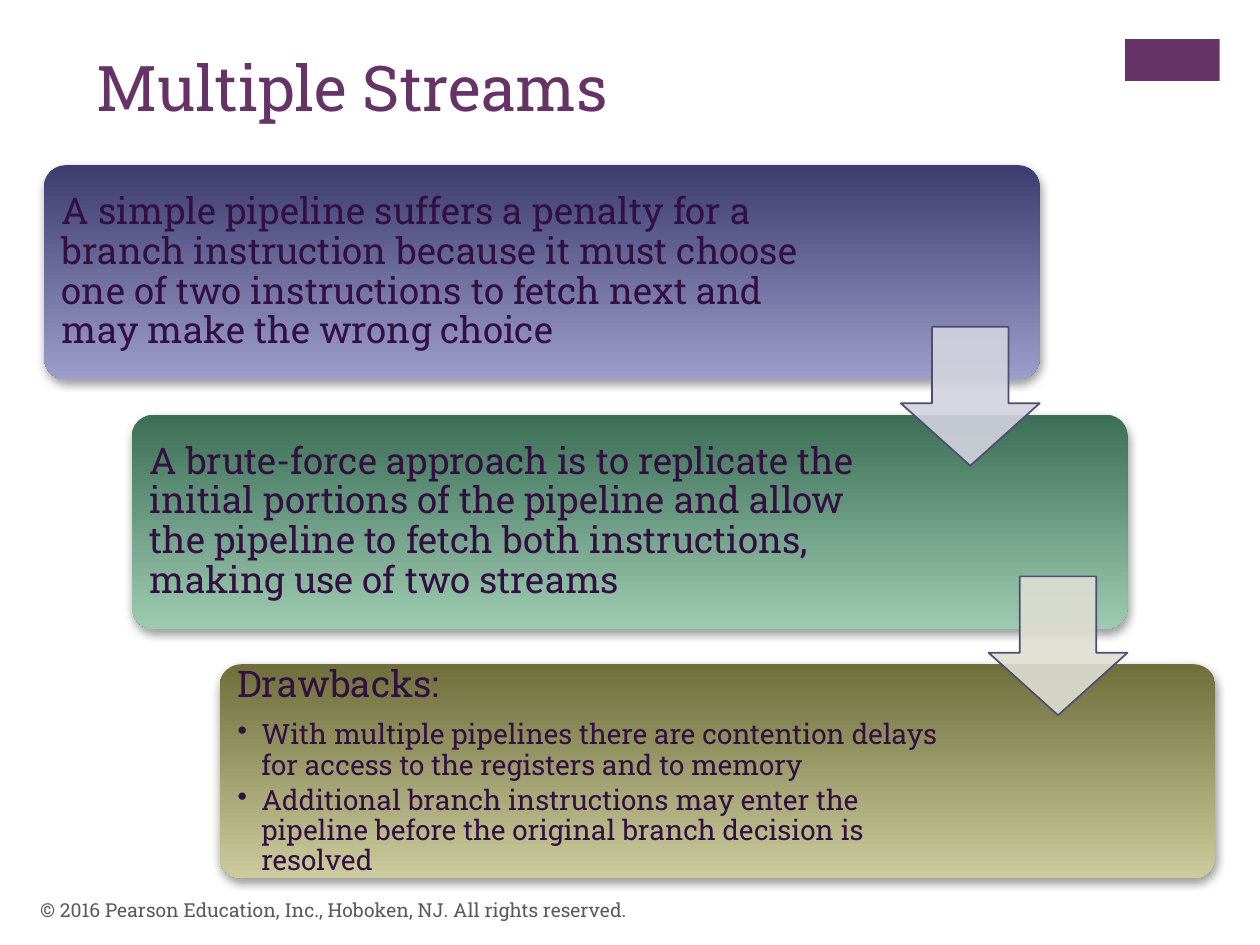
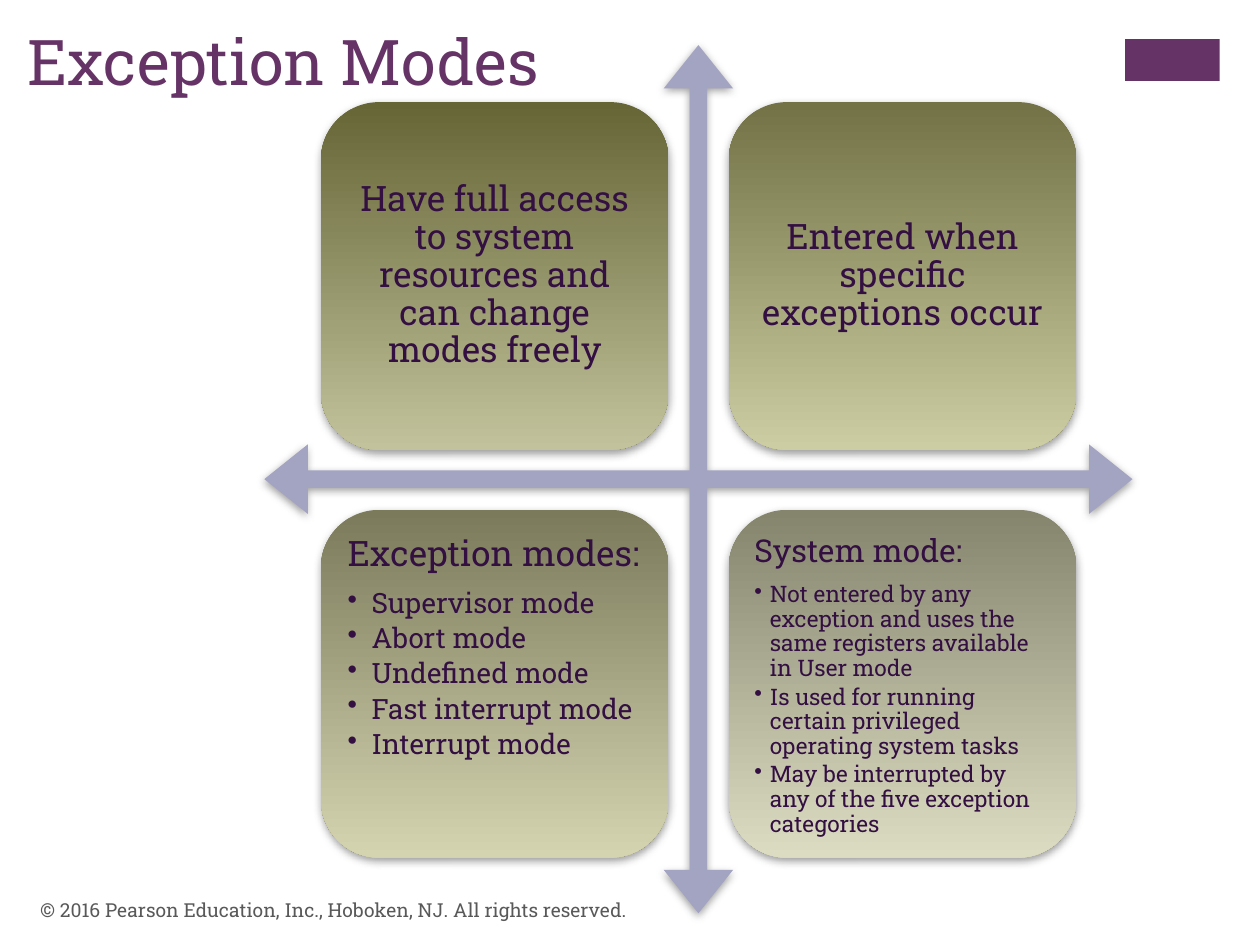
from lxml import etree
from pptx import Presentation
from pptx.dml.color import RGBColor
from pptx.enum.shapes import MSO_SHAPE
from pptx.enum.text import MSO_ANCHOR, MSO_AUTO_SIZE, PP_ALIGN
from pptx.oxml import parse_xml
from pptx.oxml.ns import nsdecls, qn
from pptx.util import Cm, Pt

RECTANGLE = MSO_SHAPE.RECTANGLE
ROUNDED = MSO_SHAPE.ROUNDED_RECTANGLE
DOWN_ARROW = MSO_SHAPE.DOWN_ARROW
QUAD_ARROW = MSO_SHAPE.QUAD_ARROW
TOP, MIDDLE = MSO_ANCHOR.TOP, MSO_ANCHOR.MIDDLE
LEFT, CENTER = PP_ALIGN.LEFT, PP_ALIGN.CENTER
NO_FIT = MSO_AUTO_SIZE.NONE

FONT = "Roboto Slab"
PLUM = RGBColor(0x66, 0x33, 0x66)
INK = RGBColor(0x33, 0x0F, 0x42)
GREY = RGBColor(0x59, 0x59, 0x59)
ARROW_LINE = RGBColor(0x4D, 0x4D, 0x73)
AXIS = RGBColor(0xA3, 0xA3, 0xC2)
NAVY, LAVENDER = RGBColor(0x3C, 0x3C, 0x6F), RGBColor(0x9D, 0x9D, 0xCB)
FOREST, MINT = RGBColor(0x3C, 0x6F, 0x56), RGBColor(0x9D, 0xCB, 0xB2)
OLIVE, SAND = RGBColor(0x6F, 0x6F, 0x3C), RGBColor(0xCB, 0xCB, 0x9D)
PALE_BLUE, PALE_OLIVE = RGBColor(0xD3, 0xD3, 0xDE), RGBColor(0xDE, 0xDE, 0xD3)
MODE_COLORS = [
    (RGBColor(0x65, 0x65, 0x36), RGBColor(0xC2, 0xC2, 0x9C)),
    (RGBColor(0x72, 0x72, 0x46), RGBColor(0xCD, 0xCD, 0xA3)),
    (RGBColor(0x7B, 0x7B, 0x5B), RGBColor(0xD4, 0xD4, 0xB1)),
    (RGBColor(0x85, 0x85, 0x6E), RGBColor(0xDC, 0xDC, 0xC2)),
]

FOOTER = "© 2016 Pearson Education, Inc., Hoboken, NJ. All rights reserved."

STREAM_STEPS = [
    {"head": "A simple pipeline suffers a penalty for a branch instruction because it "
             "must choose one of two instructions to fetch next and may make the wrong choice",
     "colors": (NAVY, LAVENDER), "text_width": 15.42},
    {"head": "A brute-force approach is to replicate the initial portions of the pipeline "
             "and allow the pipeline to fetch both instructions, making use of two streams",
     "colors": (FOREST, MINT), "text_width": 15.24},
    {"head": "Drawbacks:",
     "bullets": [
         "With multiple pipelines there are contention delays for access to the registers "
         "and to memory",
         "Additional branch instructions may enter the pipeline before the original branch "
         "decision is resolved"],
     "colors": (OLIVE, SAND), "text_width": 15.24},
]
STEP_ARROWS = [PALE_BLUE, PALE_OLIVE]

MODES = [
    {"head": "Have full access to system resources and can change modes freely",
     "align": CENTER, "anchor": MIDDLE},
    {"head": "Entered when specific exceptions occur",
     "align": CENTER, "anchor": MIDDLE},
    {"head": "Exception modes:",
     "bullets": ["Supervisor mode", "Abort mode", "Undefined mode",
                 "Fast interrupt mode", "Interrupt mode"]},
    {"head": "System mode:",
     "bullets": [
         "Not entered by any exception and uses the same registers available in User mode",
         "Is used for running certain privileged operating system tasks",
         "May be interrupted by any of the five exception categories"],
     "size": 18, "bullet_size": 13, "indent": 0.31, "margin": 0.18},
]


def write(para, text, size, color=INK, align=LEFT, line=None, after=0, indent=None):
    if indent:
        props = para._p.get_or_add_pPr()
        props.set("marL", str(Cm(indent)))
        props.set("indent", str(-Cm(indent)))
        etree.SubElement(props, qn("a:buChar")).set("char", "•")
        para.level = 1
    para.alignment = align
    para.space_before = Pt(0)
    para.space_after = Pt(round(after * size * 1.2, 1))
    if line:
        para.line_spacing = line
    span = para.add_run()
    span.text = text
    span.font.name = FONT
    span.font.size = Pt(size)
    span.font.color.rgb = color


def prepare_frame(box, anchor, margin_x=0.25, margin_y=0.13):
    frame = box.text_frame
    frame.word_wrap = True
    frame.auto_size = NO_FIT
    frame.vertical_anchor = anchor
    frame.margin_left = frame.margin_right = Cm(margin_x)
    frame.margin_top = frame.margin_bottom = Cm(margin_y)
    return frame


def add_text_box(slide, left, top, width, height, anchor=MIDDLE, **margins):
    box = slide.shapes.add_textbox(Cm(left), Cm(top), Cm(width), Cm(height))
    return prepare_frame(box, anchor, **margins)


def add_card_text(slide, left, top, width, height, head, bullets=(), size=20,
                  bullet_size=16, indent=0.48, margin=0.2, align=LEFT, anchor=TOP):
    frame = add_text_box(slide, left, top, width, height, anchor,
                         margin_x=margin, margin_y=margin)
    write(frame.paragraphs[0], head, size, align=align, line=0.9, after=0.35)
    for bullet in bullets:
        write(frame.add_paragraph(), bullet, bullet_size,
              line=0.9, after=0.15, indent=indent)


def add_figure(slide, kind, left, top, width, height, colors, adjustments=(), soft=False):
    figure = slide.shapes.add_shape(kind, Cm(left), Cm(top), Cm(width), Cm(height))
    figure.shadow.inherit = False
    figure.line.fill.background()
    for index, value in enumerate(adjustments):
        figure.adjustments[index] = value
    if len(colors) == 2:
        figure.fill.gradient()
        figure.fill.gradient_angle = 270
        for stop, color in zip(figure.fill.gradient_stops, colors):
            stop.color.rgb = color
    else:
        figure.fill.solid()
        figure.fill.fore_color.rgb = colors[0]
    if soft:
        effects = figure._element.spPr.find(qn("a:effectLst"))
        effects.append(parse_xml(
            f'<a:outerShdw {nsdecls("a")} blurRad="{Pt(5)}" dist="{Pt(2)}" dir="5400000" '
            'rotWithShape="0"><a:srgbClr val="808080"><a:alpha val="75000"/>'
            '</a:srgbClr></a:outerShdw>'))
    return figure


def add_slide(deck, title, left, top):
    slide = deck.slides.add_slide(deck.slide_layouts[5])
    add_figure(slide, RECTANGLE, 22.68, 0.79, 1.91, 0.84, [PLUM])
    box = slide.shapes.title
    box.left, box.top, box.width, box.height = Cm(left), Cm(top), Cm(20.98), Cm(3.1)
    write(prepare_frame(box, TOP).paragraphs[0], title, 36, color=PLUM)
    footer = add_text_box(slide, 0.56, 17.83, 17.02, 1.02)
    write(footer.paragraphs[0], FOOTER, 11, color=GREY)
    return slide


def build_streams(deck):
    slide = add_slide(deck, "Multiple Streams", 1.7, 0.84)
    left, top, width, height = 0.89, 3.33, 20.07, 4.32
    shift, drop, inset, arrow_size = 1.77, 5.03, 0.13, 2.8
    for index, step in enumerate(STREAM_STEPS):
        card_left, card_top = left + index * shift, top + index * drop
        add_figure(slide, ROUNDED, card_left, card_top, width, height,
                   step["colors"], [0.1], soft=True)
        add_card_text(slide, card_left + inset, card_top + inset, step["text_width"],
                      height - 2 * inset, step["head"], step.get("bullets", ()),
                      size=21, margin=0.23, anchor=MIDDLE)
    for index, color in enumerate(STEP_ARROWS):
        arrow = add_figure(slide, DOWN_ARROW, left + index * shift + width - arrow_size,
                           top + index * drop + 3.26, arrow_size, arrow_size,
                           [color], [0.55, 0.45])
        arrow.line.color.rgb = ARROW_LINE
        arrow.line.width = Pt(1)
        tint = arrow._element.spPr.find(qn("a:solidFill"))[0]
        etree.SubElement(tint, qn("a:alpha")).set("val", "90000")


def build_modes(deck):
    slide = add_slide(deck, "Exception Modes", 0.3, 0.33)
    left, top, side, pitch, inset = 6.47, 2.06, 7.01, 8.22, 0.34
    add_figure(slide, QUAD_ARROW, 5.33, 0.91, 17.5, 17.5, [AXIS],
               [0.02, 0.04, 0.05], soft=True)
    for index, (mode, colors) in enumerate(zip(MODES, MODE_COLORS)):
        row, column = divmod(index, 2)
        card_left, card_top = left + column * pitch, top + row * pitch
        add_figure(slide, ROUNDED, card_left, card_top, side, side, colors, soft=True)
        add_card_text(slide, card_left + inset, card_top + inset,
                      side - 2 * inset, side - 2 * inset, **mode)


def main():
    deck = Presentation()
    deck.slide_width, deck.slide_height = Cm(25.4), Cm(19.05)
    build_streams(deck)
    build_modes(deck)
    deck.save("out.pptx")


if __name__ == "__main__":
    main()
